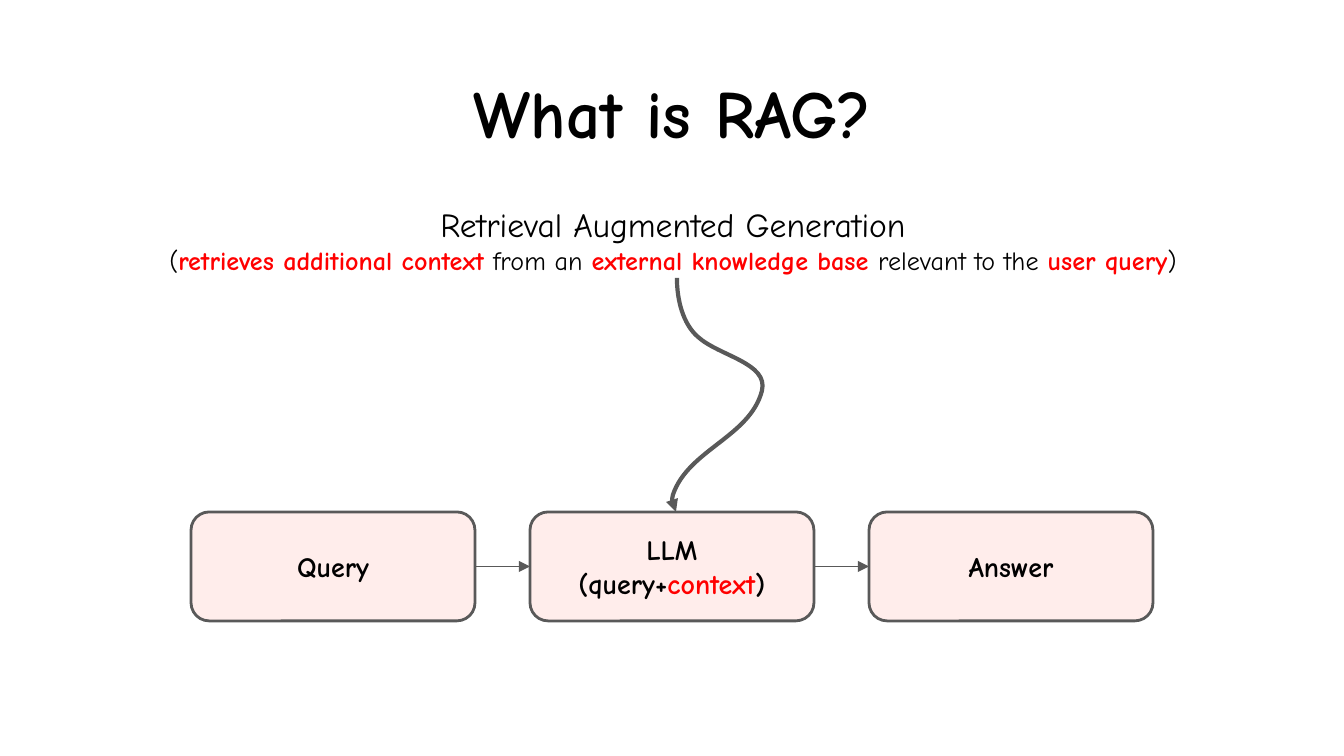
import dataclasses

import lxml.etree
import pptx
import pptx.dml.color
import pptx.enum.shapes
import pptx.enum.text
import pptx.oxml.ns
import pptx.util

EMU_PER_PX = 914400 / 134.4
qn = pptx.oxml.ns.qn


@dataclasses.dataclass(frozen=True)
class Theme:
    font: str = "Comic Neue"
    text: str = "000000"
    accent: str = "FF0000"
    box_fill: str = "FFEDEB"
    line: str = "595959"
    title_size: int = 36
    lead_size: int = 18
    detail_size: int = 14
    box_size: int = 15


THEME = Theme()


def px(length):
    return pptx.util.Emu(round(length * EMU_PER_PX))


def rgb(color):
    return pptx.dml.color.RGBColor.from_string(color)


def add_text(paragraph, text, size, bold=False, color=THEME.text):
    """Append one formatted run to a centred paragraph."""
    paragraph.alignment = pptx.enum.text.PP_ALIGN.CENTER
    run = paragraph.add_run()
    run.text = text
    run.font.name = THEME.font
    run.font.size = pptx.util.Pt(size)
    run.font.bold = bold
    run.font.color.rgb = rgb(color)


def prepare_frame(shape, anchor):
    """Set wrapping, anchor and equal insets, and return the text frame."""
    frame = shape.text_frame
    frame.word_wrap = True
    frame.auto_size = pptx.enum.text.MSO_AUTO_SIZE.NONE
    frame.vertical_anchor = anchor
    frame.margin_left = frame.margin_right = pptx.util.Inches(0.1)
    frame.margin_top = frame.margin_bottom = pptx.util.Inches(0.1)
    return frame


def style_line(shape, width):
    shape.line.color.rgb = rgb(THEME.line)
    shape.line.width = pptx.util.Pt(width)


def add_arrowhead(shape):
    outline = shape._element.spPr.find(qn("a:ln"))
    lxml.etree.SubElement(outline, qn("a:tailEnd"), type="triangle")


def set_title(slide, text):
    title = slide.shapes.title
    title.left, title.top, title.width, title.height = map(px, (46, 50, 1253, 124))
    frame = prepare_frame(title, pptx.enum.text.MSO_ANCHOR.MIDDLE)
    add_text(frame.paragraphs[0], text, THEME.title_size, bold=True)


def add_definition(slide, term, explanation):
    """Add the term above its explanation, given as (text, highlighted) pairs."""
    definition = slide.shapes.add_textbox(*map(px, (70, 191, 1206, 87)))
    frame = prepare_frame(definition, pptx.enum.text.MSO_ANCHOR.TOP)
    add_text(frame.paragraphs[0], term, THEME.lead_size)
    detail = frame.add_paragraph()
    for text, highlighted in explanation:
        color = THEME.accent if highlighted else THEME.text
        add_text(detail, text, THEME.detail_size, bold=highlighted, color=color)


def add_step(slide, left, lines):
    """Add a rounded box; each line is a list of (text, color) pairs."""
    step = slide.shapes.add_shape(
        pptx.enum.shapes.MSO_SHAPE.ROUNDED_RECTANGLE, *map(px, (left, 512, 284, 109)))
    step.shadow.inherit = False
    step.fill.solid()
    step.fill.fore_color.rgb = rgb(THEME.box_fill)
    style_line(step, 1.5)
    paragraph = prepare_frame(step, pptx.enum.text.MSO_ANCHOR.MIDDLE).paragraphs[0]
    for index, line in enumerate(lines):
        if index:
            paragraph.add_line_break()
        for text, color in line:
            add_text(paragraph, text, THEME.box_size, bold=True, color=color)
    return step


def connect_steps(slide, source, target):
    arrow = slide.shapes.add_connector(
        pptx.enum.shapes.MSO_CONNECTOR.STRAIGHT, 0, 0, 0, 0)
    arrow.begin_connect(source, 3)
    arrow.end_connect(target, 1)
    style_line(arrow, 0.75)
    add_arrowhead(arrow)
    lxml.etree.SubElement(arrow._element.spPr, qn("a:effectLst"))


def add_curved_arrow(slide, start, controls):
    """Draw cubic curves; every three control points make one curve."""
    builder = slide.shapes.build_freeform(*start, scale=EMU_PER_PX)
    builder.add_line_segments(controls, close=False)
    curve = builder.convert_to_shape()
    segments = list(curve._element.iter(qn("a:lnTo")))
    for first in range(0, len(segments), 3):
        cubic = lxml.etree.Element(qn("a:cubicBezTo"))
        segments[first].addprevious(cubic)
        for segment in segments[first:first + 3]:
            cubic.append(segment[0])
            segment.getparent().remove(segment)
    curve.shadow.inherit = False
    curve.fill.background()
    style_line(curve, 2.25)
    add_arrowhead(curve)


def main():
    presentation = pptx.Presentation()
    presentation.slide_width, presentation.slide_height = px(1344), px(756)
    slide = presentation.slides.add_slide(presentation.slide_layouts[5])

    set_title(slide, "What is RAG?")
    step_lines = [
        [[("Query", THEME.text)]],
        [[("LLM", THEME.text)],
         [("(query+", THEME.text), ("context", THEME.accent), (")", THEME.text)]],
        [[("Answer", THEME.text)]],
    ]
    steps = [add_step(slide, 191 + 339 * index, lines)
             for index, lines in enumerate(step_lines)]
    for source, target in zip(steps, steps[1:]):
        connect_steps(slide, source, target)

    add_definition(slide, "Retrieval Augmented Generation", [
        ("(", False),
        ("retrieves additional context", True),
        (" from an ", False),
        ("external knowledge base ", True),
        ("relevant to the ", False),
        ("user query", True),
        (")", False),
    ])
    add_curved_arrow(slide, (677, 278), [
        (677, 300), (683, 324), (698, 337),
        (719, 356), (769, 363), (762, 391),
        (750, 437), (688, 450), (673, 495),
        (672, 500), (671, 509), (676, 512),
    ])
    presentation.save("out.pptx")


if __name__ == "__main__":
    main()
